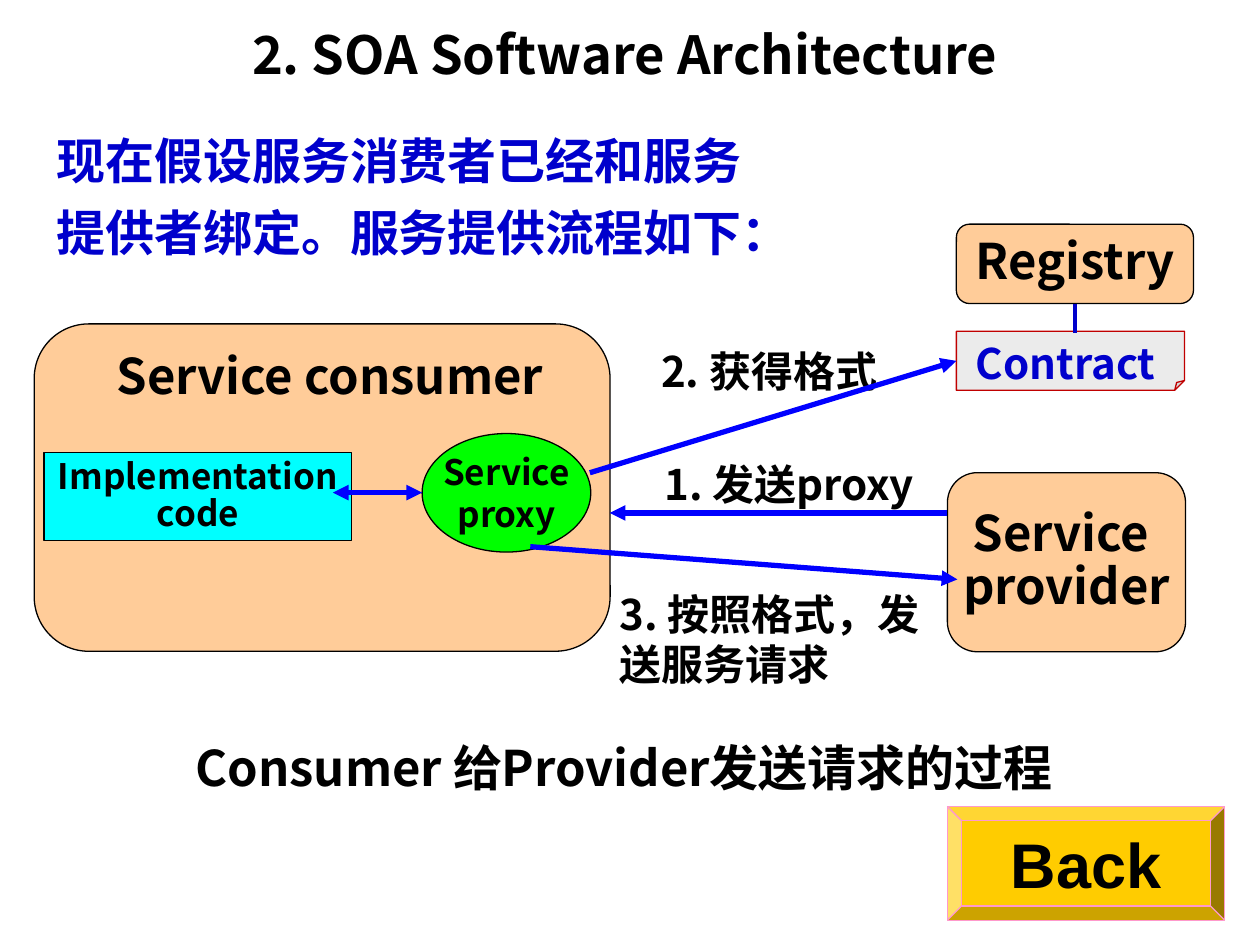
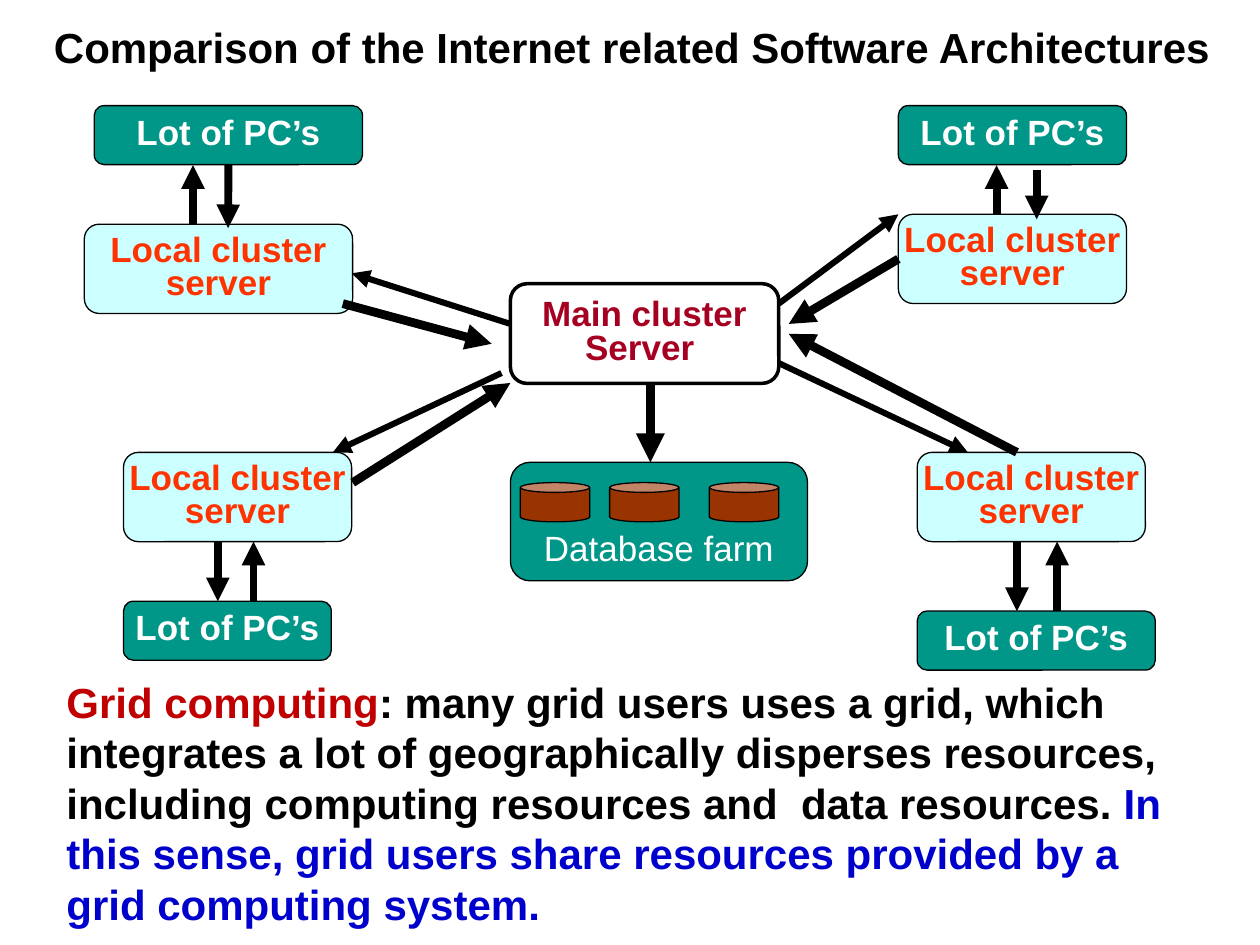
from dataclasses import dataclass
from typing import Optional

from lxml.etree import SubElement
from pptx import Presentation
from pptx.dml.color import RGBColor
from pptx.enum.shapes import MSO_CONNECTOR, MSO_SHAPE
from pptx.enum.text import MSO_ANCHOR, PP_ALIGN
from pptx.oxml.ns import qn
from pptx.shapes.autoshape import Shape
from pptx.shapes.connector import Connector
from pptx.slide import Slide
from pptx.util import Cm, Pt


@dataclass(frozen=True)
class Theme:
    latin: str = "Arial"
    chinese: str = "Noto Sans CJK SC"
    black: str = "000000"
    white: str = "FFFFFF"
    blue_text: str = "0000CC"
    blue_arrow: str = "0000FF"
    red: str = "C00000"
    dark_red: str = "A50021"
    orange: str = "FF3300"
    peach: str = "FFCC99"
    cyan: str = "00FFFF"
    pale_cyan: str = "CCFFFF"
    green: str = "00FF00"
    teal: str = "009688"
    brown: str = "993300"
    gold: str = "FFCC00"
    pink: str = "FF99CC"
    gray: str = "7F7F7F"
    title: float = 30
    heading: float = 28
    body: float = 24
    label: float = 20
    button: float = 36
    thin: float = 0.75


THEME = Theme()
LEFT, BOTTOM = 1, 2


@dataclass(frozen=True)
class Area:
    """A rectangle measured in centimetres."""
    left: float
    top: float
    width: float
    height: float

    def lengths(self) -> tuple:
        return Cm(self.left), Cm(self.top), Cm(self.width), Cm(self.height)


@dataclass(frozen=True)
class Arrow:
    """A line between two points in centimetres, with its weight in points."""
    x1: float
    y1: float
    x2: float
    y2: float
    weight: float
    color: str = THEME.black
    head: bool = False
    tail: bool = True


@dataclass(frozen=True)
class Site:
    """A local cluster server and the PCs attached to it."""
    cluster: Area
    computers: Area


def write(box: Shape, text, *, size: float, color: str = THEME.black,
          font: str = THEME.latin, bold: bool = True,
          align: PP_ALIGN = PP_ALIGN.CENTER, anchor: MSO_ANCHOR = MSO_ANCHOR.MIDDLE,
          leading: float = 1.0, gap: float = 0, wrap: bool = False,
          side: float = 0.25, edge: float = 0.13) -> None:
    """Fill a box; text is a string with line ends or a list of (text, color) spans."""
    frame = box.text_frame
    frame.word_wrap = wrap
    frame.vertical_anchor = anchor
    frame.margin_left = frame.margin_right = Cm(side)
    frame.margin_top = frame.margin_bottom = Cm(edge)
    if isinstance(text, str):
        paragraphs = [[(line, color)] for line in text.split("\n")]
    else:
        paragraphs = [text]
    for index, spans in enumerate(paragraphs):
        para = frame.add_paragraph() if index else frame.paragraphs[0]
        para.alignment = align
        para.line_spacing = leading
        if index and gap:
            para.space_before = Pt(gap)
        for words, span_color in spans:
            span = para.add_run()
            span.text = words
            span.font.size = Pt(size)
            span.font.bold = bold
            span.font.color.rgb = RGBColor.from_string(span_color)
            span.font.name = font
            SubElement(span.font._element, qn("a:ea"), typeface=font)


def add_text(page: Slide, area: Area, text, **style) -> None:
    options = {"wrap": True, "anchor": MSO_ANCHOR.TOP} | style
    write(page.shapes.add_textbox(*area.lengths()), text, **options)


def add_title(page: Slide, area: Area, text: str, **style) -> None:
    add_text(page, area, text, anchor=MSO_ANCHOR.MIDDLE, leading=0.85,
             side=0, edge=0, **style)


def add_box(page: Slide, area: Area, fill: str, text: Optional[str] = None, *,
            kind: MSO_SHAPE = MSO_SHAPE.ROUNDED_RECTANGLE, line: str = THEME.black,
            weight: float = THEME.thin, opacity: Optional[int] = None, **style) -> Shape:
    box = page.shapes.add_shape(kind, *area.lengths())
    box.shadow.inherit = False
    box.fill.solid()
    box.fill.fore_color.rgb = RGBColor.from_string(fill)
    if opacity is not None:
        color = box._element.spPr.find(qn("a:solidFill")).find(qn("a:srgbClr"))
        SubElement(color, qn("a:alpha"), val=str(opacity * 1000))
    box.line.color.rgb = RGBColor.from_string(line)
    box.line.width = Pt(weight)
    if text:
        write(box, text, **style)
    return box


def add_arrow(page: Slide, arrow: Arrow) -> Connector:
    connector = page.shapes.add_connector(
        MSO_CONNECTOR.STRAIGHT, Cm(arrow.x1), Cm(arrow.y1), Cm(arrow.x2), Cm(arrow.y2))
    connector.line.color.rgb = RGBColor.from_string(arrow.color)
    connector.line.width = Pt(arrow.weight)
    outline = connector.line._get_or_add_ln()
    for shown, tag in ((arrow.head, "a:headEnd"), (arrow.tail, "a:tailEnd")):
        if shown:
            SubElement(outline, qn(tag), type="triangle")
    SubElement(connector._element.spPr, qn("a:effectLst"))
    return connector


def build_service_page(page: Slide) -> None:
    heading = {"size": THEME.heading, "font": THEME.chinese}
    body = {"size": THEME.body, "font": THEME.chinese}
    label = {"size": THEME.label, "font": THEME.chinese}

    add_text(page, Area(1.3, 14.73, 22.56, 1.45), "Consumer 给Provider发送请求的过程",
             **heading | {"anchor": MSO_ANCHOR.MIDDLE})
    add_box(page, Area(19.1, 16.26, 5.59, 2.29), THEME.gold, "Back",
            kind=MSO_SHAPE.BEVEL, line=THEME.pink, size=THEME.button)
    add_box(page, Area(0.69, 6.53, 11.61, 6.6), THEME.peach)
    add_box(page, Area(0.89, 9.12, 6.2, 1.78), THEME.cyan, "Implementation code",
            kind=MSO_SHAPE.RECTANGLE, wrap=True, anchor=MSO_ANCHOR.TOP,
            leading=0.9, side=0, **label)
    add_box(page, Area(8.51, 8.74, 3.4, 2.39), THEME.green, "Service\nproxy",
            kind=MSO_SHAPE.OVAL, **label)
    registry = add_box(page, Area(19.28, 4.52, 4.78, 1.6), THEME.peach, "Registry",
                       leading=0.9, **heading)
    add_box(page, Area(19.1, 9.53, 4.8, 3.61), THEME.peach, "Service \nprovider",
            leading=0.9, **heading)
    contract = add_box(page, Area(19.28, 6.68, 4.6, 1.19), THEME.gray, "Contract ",
                       kind=MSO_SHAPE.FOLDED_CORNER, line=THEME.red, opacity=15,
                       color=THEME.blue_text, wrap=True, anchor=MSO_ANCHOR.TOP, **body)

    add_text(page, Area(1.9, 6.83, 9.5, 1.45), "Service consumer", **heading)
    add_text(page, Area(12.9, 6.83, 5.21, 1.27), "2. 获得格式", **body)
    add_text(page, Area(12.9, 9.32, 6.2, 1.07), "1. 发送proxy ", leading=0.8, **body)
    add_text(page, Area(12.24, 11.73, 6.65, 2.29), "3. 按照格式，发送服务请求",
             align=PP_ALIGN.LEFT, **body)

    blue = THEME.blue_arrow
    for arrow in (
        Arrow(6.71, 9.93, 8.51, 9.93, 3, blue, head=True),
        Arrow(19.1, 10.34, 12.29, 10.34, 3, blue),
        Arrow(10.69, 11.02, 19.3, 11.68, 3, blue),
    ):
        add_arrow(page, arrow)
    get_format = add_arrow(page, Arrow(11.89, 9.53, 19.28, 7.28, 3, blue))
    get_format.end_connect(contract, LEFT)
    registry_link = add_arrow(
        page, Arrow(21.67, 6.12, 21.67, 6.71, 2, THEME.blue_text, tail=False))
    registry_link.begin_connect(registry, BOTTOM)

    add_title(page, Area(1.7, 0.53, 21.79, 1.3), "2. SOA Software Architecture",
              size=THEME.title, font=THEME.chinese)
    add_text(page, Area(0.89, 2.51, 15.39, 3),
             "现在假设服务消费者已经和服务\n提供者绑定。服务提供流程如下：",
             color=THEME.blue_text, align=PP_ALIGN.LEFT, gap=7, **heading)


def build_grid_page(page: Slide) -> None:
    label = {"size": THEME.label, "leading": 0.8}
    cluster_height, computers_height = 1.8, 1.19

    add_box(page, Area(10.29, 5.72, 5.41, 2.01), THEME.white, "Main cluster\nServer ",
            color=THEME.dark_red, weight=2, **label)
    add_box(page, Area(10.29, 9.32, 5.99, 2.39), THEME.teal, "Database farm",
            color=THEME.white, bold=False, anchor=MSO_ANCHOR.BOTTOM, **label)
    for left in (10.49, 12.29, 14.3):
        add_box(page, Area(left, 9.73, 1.4, 0.79), THEME.brown, kind=MSO_SHAPE.CAN)

    sites = (
        Site(Area(1.7, 4.52, 5.41, cluster_height), Area(1.9, 2.13, 5.41, computers_height)),
        Site(Area(18.11, 4.32, 4.6, cluster_height), Area(18.11, 2.13, 4.6, computers_height)),
        Site(Area(2.49, 9.12, 4.6, cluster_height), Area(2.49, 12.12, 4.19, computers_height)),
        Site(Area(18.49, 9.12, 4.6, cluster_height), Area(18.49, 12.32, 4.8, computers_height)),
    )
    clusters, computers = [], []
    for site in sites:
        computers.append(add_box(page, site.computers, THEME.teal, "Lot of PC’s",
                                 color=THEME.white, side=0, **label))
        clusters.append(add_box(page, site.cluster, THEME.pale_cyan, "Local cluster\nserver",
                                color=THEME.orange, side=0, **label))

    from_main, to_main, to_database, upright = 3.5, 5, 5.5, 4.5
    for arrow in (
        Arrow(15.7, 6.12, 18.11, 4.32, from_main),
        Arrow(10.29, 6.53, 7.09, 5.51, from_main),
        Arrow(10.11, 7.52, 6.71, 9.12, from_main),
        Arrow(15.7, 7.32, 19.51, 9.12, from_main),
        Arrow(7.11, 9.73, 10.29, 7.72, to_main),
        Arrow(6.91, 6.12, 9.91, 6.93, to_main),
        Arrow(20.5, 9.12, 15.9, 6.73, to_main),
        Arrow(13.11, 7.72, 13.11, 9.32, to_database),
    ):
        add_arrow(page, arrow)
    for x, start, end in (
        (3.89, 4.52, 3.33), (20.09, 4.32, 3.33), (20.9, 3.43, 4.42),
        (4.39, 10.92, 12.12), (5.11, 12.12, 10.92),
        (20.5, 10.92, 12.32), (21.31, 12.32, 10.92),
    ):
        add_arrow(page, Arrow(x, start, x, end, upright))
    top_left_down = add_arrow(page, Arrow(4.6, 3.32, 4.6, 4.6, upright))
    top_left_down.begin_connect(computers[0], BOTTOM)
    top_right_to_main = add_arrow(page, Arrow(18.11, 5.22, 15.9, 6.53, to_main))
    top_right_to_main.begin_connect(clusters[1], LEFT)

    add_title(page, Area(0.79, 0.13, 23.9, 1.78),
              "Comparison of the Internet related Software Architectures", size=THEME.body)
    definition = [
        ("Grid computing", THEME.red),
        (": many grid users uses a grid, which integrates a lot of geographically "
         "disperses resources, including computing resources and  data resources. ",
         THEME.black),
        ("In this sense, grid users share resources provided by a grid computing system.",
         THEME.blue_text),
    ]
    add_text(page, Area(1.09, 13.51, 23.22, 5.33), definition,
             size=THEME.body, align=PP_ALIGN.LEFT)


def main() -> None:
    deck = Presentation()
    deck.slide_width, deck.slide_height = Cm(25.4), Cm(19.05)
    blank = deck.slide_layouts[6]
    for build in (build_service_page, build_grid_page):
        build(deck.slides.add_slide(blank))
    deck.save("out.pptx")


if __name__ == "__main__":
    main()
